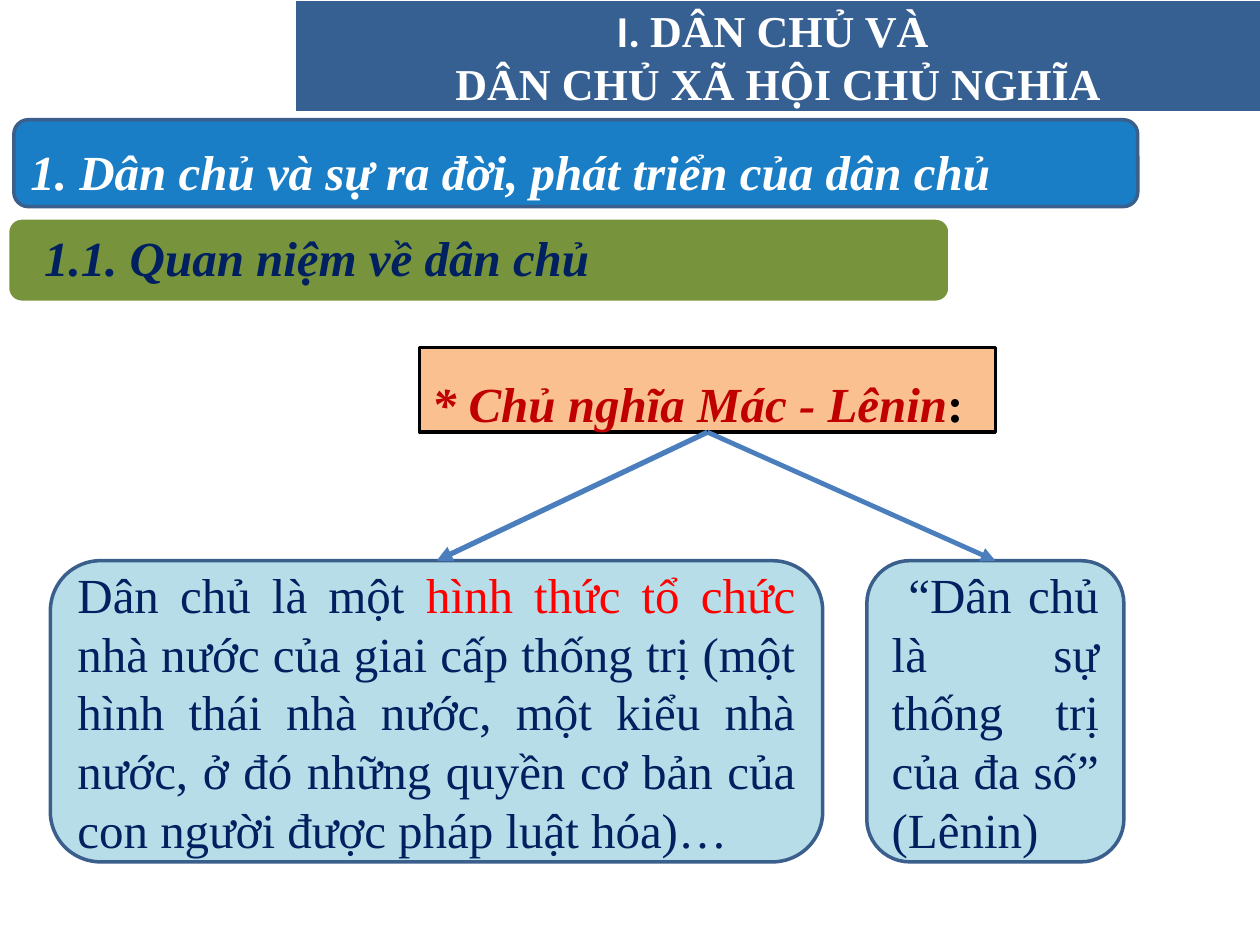
from lxml.etree import SubElement
from pptx import Presentation
from pptx.dml.color import RGBColor
from pptx.enum.shapes import MSO_CONNECTOR as Connector, MSO_SHAPE as Preset
from pptx.enum.text import MSO_ANCHOR as Anchor, PP_ALIGN as Align
from pptx.oxml.ns import qn
from pptx.util import Inches, Pt

COLORS = {
    "white": "FFFFFF", "black": "000000", "title": "376092", "blue": "0070C0",
    "border": "3A5F8C", "green": "77933C", "orange": "FAC090", "pale": "B7DEE8",
    "navy": "002060", "crimson": "C00000", "red": "FF0000", "arrow": "4B7EBC",
}
SERIF = "Times New Roman"
COLUMNS, ROWS = 100, 75

presentation = Presentation()
presentation.slide_width, presentation.slide_height = Inches(10), Inches(7.5)
slide = presentation.slides.add_slide(presentation.slide_layouts[6])
COLUMN = presentation.slide_width / COLUMNS
ROW = presentation.slide_height / ROWS


def color(name):
    return RGBColor.from_string(COLORS[name])


def place(box):
    left, top, width, height = box
    return [int(n) for n in (left * COLUMN, top * ROW, width * COLUMN, height * ROW)]


def panel(box, preset, fill, border=None):
    shape = slide.shapes.add_shape(preset, *place(box))
    shape.shadow.inherit = False
    shape.fill.solid()
    shape.fill.fore_color.rgb = color(fill)
    if border:
        shape.line.color.rgb = color(border)
        shape.line.width = Pt(2)
    else:
        shape.line.fill.background()
    return shape


def start_text(shape, align, anchor=Anchor.MIDDLE):
    frame = shape.text_frame
    frame.word_wrap = True
    frame.vertical_anchor = anchor
    paragraph = frame.paragraphs[0]
    paragraph.alignment = align
    return paragraph


def add_run(paragraph, text, ink, size=28, name=SERIF, bold=False, italic=False):
    run = paragraph.add_run()
    run.text = text
    font = run.font
    font.name, font.size, font.bold, font.italic = name, Pt(size), bold, italic
    font.color.rgb = color(ink)


def title_band(box):
    paragraph = start_text(panel(box, Preset.RECTANGLE, "title"), Align.CENTER)
    add_run(paragraph, "I. ", "white", 25.2, "Calibri", bold=True)
    add_run(paragraph, "DÂN CHỦ VÀ ", "white", 25.2, bold=True)
    paragraph.add_line_break()
    add_run(paragraph, "DÂN CHỦ XÃ HỘI CHỦ NGHĨA", "white", 25.2, bold=True)


def section_bar(box):
    shape = panel(box, Preset.ROUNDED_RECTANGLE, "blue", "border")
    fill_color = shape.fill._xPr.find(qn("a:solidFill"))[0]
    SubElement(fill_color, qn("a:alpha"), val="90000")
    shape.text_frame.margin_top = Inches(0.17)
    paragraph = start_text(shape, Align.JUSTIFY)
    add_run(paragraph, "1. Dân chủ và sự ra đời, phát triển của dân chủ", "white",
            bold=True, italic=True)


def subsection_bar(box):
    panel(box, Preset.ROUNDED_RECTANGLE, "green", "white")
    left, top, width, height = box
    label = slide.shapes.add_textbox(*place((left + 0.5, top + 0.3, width - 1, height - 0.6)))
    frame = label.text_frame
    frame.margin_left = frame.margin_right = Inches(0.24)
    frame.margin_top = frame.margin_bottom = 0
    paragraph = start_text(label, Align.LEFT)
    paragraph.line_spacing = 0.9
    add_run(paragraph, "1.1. Quan niệm về dân chủ", "navy", bold=True, italic=True)


def doctrine_box(box):
    shape = panel(box, Preset.RECTANGLE, "orange", "black")
    paragraph = start_text(shape, Align.JUSTIFY, Anchor.TOP)
    paragraph.line_spacing = Pt(45)
    add_run(paragraph, "* Chủ nghĩa Mác - Lênin", "crimson", bold=True, italic=True)
    add_run(paragraph, ":", "black", bold=True)
    return shape


def idea_card(box, runs):
    shape = panel(box, Preset.ROUNDED_RECTANGLE, "pale", "border")
    paragraph = start_text(shape, Align.JUSTIFY)
    for text, ink in runs:
        add_run(paragraph, text, ink)
    return shape


def branch(parent, child, width):
    connector = slide.shapes.add_connector(Connector.STRAIGHT, 0, 0, 0, 0)
    connector.begin_connect(parent, 2)
    connector.end_connect(child, 0)
    connector.line.color.rgb = color("arrow")
    connector.line.width = Pt(width)
    SubElement(connector.line._get_or_add_ln(), qn("a:tailEnd"), type="triangle")
    SubElement(connector._element.spPr, qn("a:effectLst"))


def idea_tree(box):
    left, top, width, height = box
    doctrine = doctrine_box((left + 29.3, top, 45.7, 6.7))
    card_top, card_height = top + 16.9, height - 16.9
    definition = idea_card((left, card_top, 61.3, card_height), [
        ("Dân chủ là một ", "navy"),
        ("hình thức tổ chức", "red"),
        (" nhà nước của giai cấp thống trị (một hình thái nhà nước, một kiểu nhà nước, "
         "ở đó những quyền cơ bản của con người được pháp luật hóa)…", "navy"),
    ])
    quote = idea_card((left + width - 20.4, card_top, 20.4, card_height), [
        (" “Dân chủ là sự thống trị của đa số” (Lênin)", "navy"),
    ])
    branch(doctrine, definition, 3)
    branch(doctrine, quote, 2.75)


title_band((23.5, 0.1, 76.5, 8.7))
section_bar((1.1, 9.5, 89.2, 6.9))
subsection_bar((0.6, 17.3, 74.8, 6.7))
idea_tree((4, 27.6, 85.2, 40.8))
presentation.save("out.pptx")
